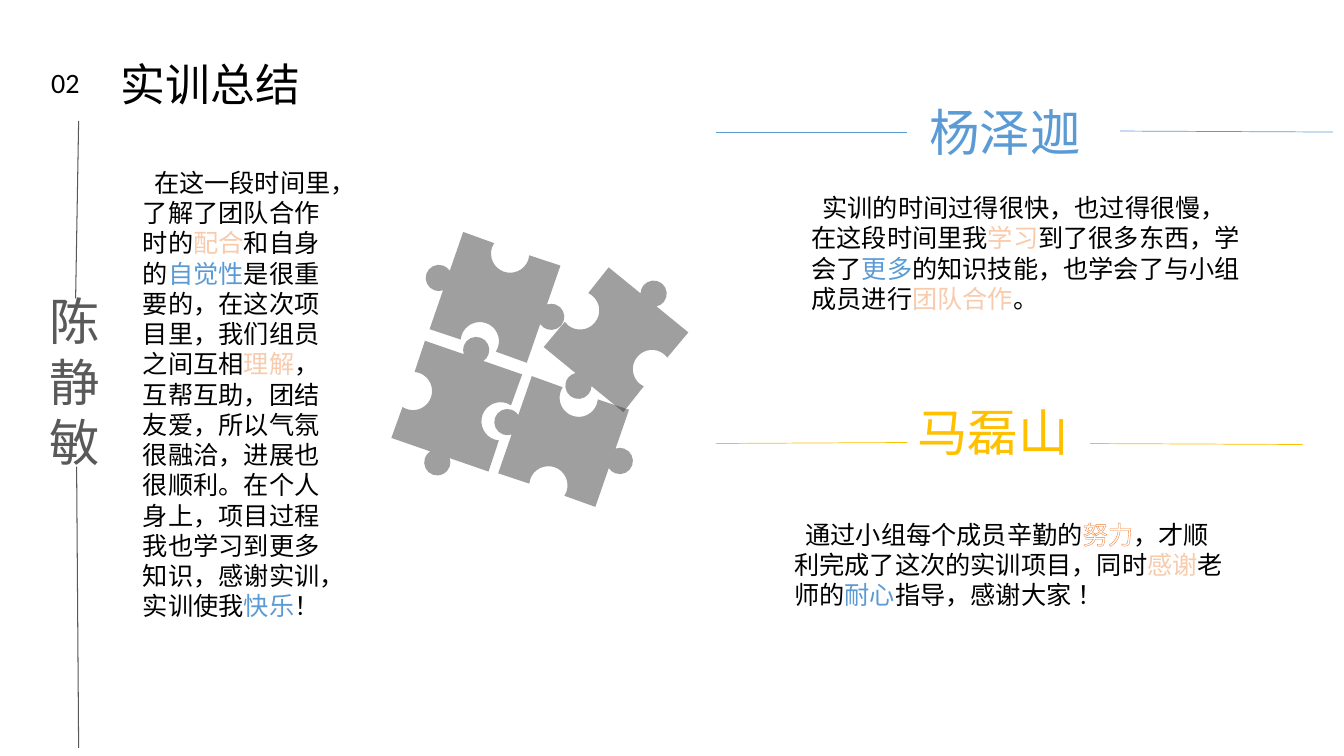
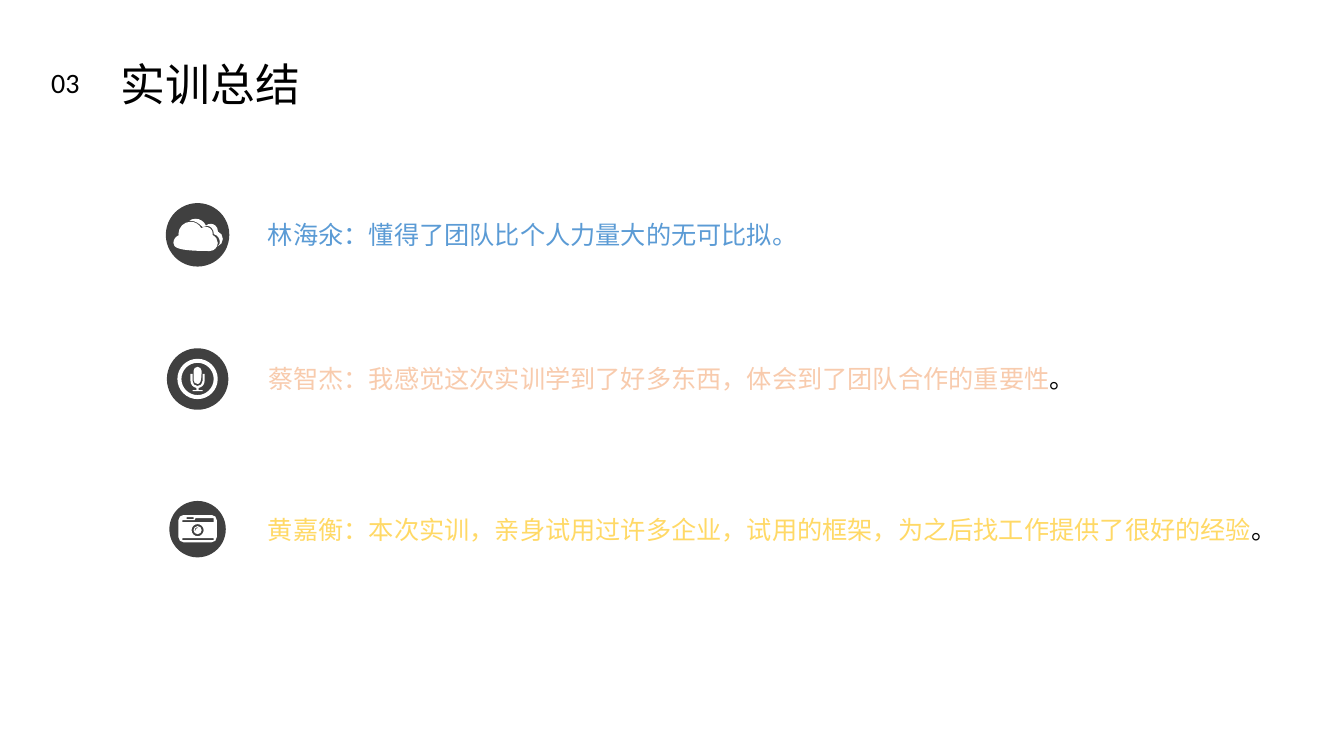
import dataclasses
import itertools
import math

import lxml.etree
import pptx
import pptx.dml.color
import pptx.enum.shapes
import pptx.enum.text
import pptx.oxml.ns
import pptx.util

# The grid has one-inch cells; all lengths are columns and rows of it.
COLUMNS, ROWS = 13.33, 7.5


@dataclasses.dataclass(frozen=True)
class Ink:
    """Fill and optional outline of a stretch of text."""
    color: str
    outline: str = ""
    outline_width: float = 0
    gradient: tuple = ()


@dataclasses.dataclass(frozen=True)
class Theme:
    """Colours, fonts and type sizes shared by the slides."""
    black: Ink = Ink("000000")
    gray: Ink = Ink("595959")
    blue: Ink = Ink("5B9BD5")
    gold: Ink = Ink("FFC000")
    peach: Ink = Ink("F8CBAD", "ED7D31", 1.75)
    hollow: Ink = Ink("FFFFFF", "ED7D31", 0.52)
    golden: Ink = Ink("FFD966", "FFC000", 1,
                      ((0, "FFC000"), (4, "FFD966"), (87, "FFF2CC")))
    dark: str = "404040"
    white: str = "FFFFFF"
    latin: str = "Calibri"
    chinese: str = "Noto Sans CJK SC"
    number: int = 20
    title: int = 32
    name: int = 36
    body: int = 18


THEME = Theme()


def inches(value):
    """Turn grid cells into a length."""
    return pptx.util.Inches(value)


def rgb(color):
    """Turn a hexadecimal string into a colour."""
    return pptx.dml.color.RGBColor.from_string(color)


def xml_child(parent, tag, position=None, **attributes):
    """Add a drawing element to parent, at the end or at a position."""
    child = lxml.etree.Element(pptx.oxml.ns.qn(tag), attributes)
    parent.insert(len(parent) if position is None else position, child)
    return child


def style_run(run, ink, size, font):
    """Give a run its size, fonts, fill and outline."""
    run.font.size = pptx.util.Pt(size)
    run.font.name = font
    properties = run._r.get_or_add_rPr()
    xml_child(properties, "a:ea", typeface=THEME.chinese)
    if ink.gradient:
        gradient = xml_child(properties, "a:gradFill", 0)
        stops = xml_child(gradient, "a:gsLst")
        for share, color in ink.gradient:
            stop = xml_child(stops, "a:gs", pos=str(share * 1000))
            xml_child(stop, "a:srgbClr", val=color)
        xml_child(gradient, "a:lin", ang=str(90 * 60000))
    else:
        run.font.color.rgb = rgb(ink.color)
    if ink.outline:
        width = str(int(pptx.util.Pt(ink.outline_width)))
        outline = xml_child(properties, "a:ln", 0, w=width)
        xml_child(xml_child(outline, "a:solidFill"), "a:srgbClr", val=ink.outline)


def add_text(shapes, box, pieces, size, font=THEME.chinese, wrap=True, indent=0):
    """Add a text box whose one paragraph holds (text, ink) pieces."""
    shape = shapes.add_textbox(*map(inches, box))
    frame = shape.text_frame
    frame.word_wrap = wrap
    frame.auto_size = pptx.enum.text.MSO_AUTO_SIZE.SHAPE_TO_FIT_TEXT
    paragraph = frame.paragraphs[0]
    if indent:
        paragraph._p.get_or_add_pPr().set("indent", str(int(inches(indent))))
    for text, ink in pieces:
        run = paragraph.add_run()
        run.text = text
        style_run(run, ink, size, font)


def add_line(shapes, start, end, ink, width):
    """Add a thin straight line."""
    line = shapes.add_connector(pptx.enum.shapes.MSO_CONNECTOR.STRAIGHT,
                                *map(inches, (*start, *end)))
    line.line.color.rgb = rgb(ink.color)
    line.line.width = pptx.util.Pt(width)
    xml_child(line._element.spPr, "a:effectLst")


def paint(shape, color):
    """Give a shape a plain fill without line or shadow."""
    shape.shadow.inherit = False
    shape.fill.solid()
    shape.fill.fore_color.rgb = rgb(color)
    shape.line.fill.background()


def arc(x, y, radius, start, end):
    """Return a start point and one curve per quadrant; degrees run clockwise."""
    low, high = sorted((start, end))
    cuts = [cut for cut in range(-360, 540, 90) if low < cut < high]
    stops = [start, *(cuts if start < end else reversed(cuts)), end]

    def place(angle, reach=0.0):
        """Return a point on the circle, moved along its tangent."""
        cosine, sine = math.cos(math.radians(angle)), math.sin(math.radians(angle))
        return (x + radius * (cosine - reach * sine), y + radius * (sine + reach * cosine))

    steps = [place(start)]
    for first, last in itertools.pairwise(stops):
        reach = 4 / 3 * math.tan(math.radians(last - first) / 4)
        steps.append((*place(first, reach), *place(last, -reach), *place(last)))
    return steps


def arcs(*parts):
    """Join arcs that meet into one contour."""
    return arc(*parts[0]) + [step for part in parts[1:] for step in arc(*part)[1:]]


def rectangle(left, top, right, bottom):
    """Return the contour of a rectangle."""
    return [(left, top), (right, top), (right, bottom), (left, bottom)]


def add_outline(shapes, center, contours, color):
    """Add a filled freeform whose contours mix points and curves."""
    def absolute(step):
        """Place the coordinates of a step on the slide."""
        return [int(inches(center[place % 2] + value))
                for place, value in enumerate(step)]

    placed = [[absolute(step) for step in contour] for contour in contours]
    builder = shapes.build_freeform(*placed[0][0])
    for number, contour in enumerate(placed):
        if number:
            builder.move_to(*contour[0])
        builder.add_line_segments([step[-2:] for step in contour[1:]], close=True)
    shape = builder.convert_to_shape()
    lines = list(shape._element.spPr.iter(pptx.oxml.ns.qn("a:lnTo")))
    steps = [step for contour in placed for step in contour[1:]]
    for line, step in zip(lines, steps):
        if len(step) == 6:
            curve = lxml.etree.Element(pptx.oxml.ns.qn("a:cubicBezTo"))
            for x, y in zip(step[::2], step[1::2]):
                xml_child(curve, "a:pt", x=str(x - shape.left), y=str(y - shape.top))
            line.getparent().replace(line, curve)
    paint(shape, color)
    return shape


def puzzle_contour():
    """Return a square piece with two tabs and two notches."""
    half, tab, notch = 0.51, 0.13, 0.19
    side = [(-half, -half), *arc(0, -0.59, tab, 142, 398), (half, -half),
            *arc(0.46, 0, notch, -76, -284)]
    return side + [tuple(-value for value in step) for step in side]


def add_puzzle_piece(shapes, center, rotation):
    """Add a half transparent puzzle piece."""
    piece = add_outline(shapes, center, [puzzle_contour()], THEME.dark)
    piece.rotation = rotation
    color = next(piece._element.spPr.iter(pptx.oxml.ns.qn("a:srgbClr")))
    xml_child(color, "a:alpha", val="50000")


def cloud():
    """Return the contours of a cloud before a second cloud."""
    front = arcs((-0.07, -0.01, 0.12, 180, 333), (0.08, -0.01, 0.07, 235, 370),
                 (0.12, 0.08, 0.08, 293, 450), (-0.16, 0.08, 0.08, 90, 250))
    back = arcs((-0.02, -0.05, 0.11, 236, 338), (0.13, -0.04, 0.07, 225, 365),
                (0.17, 0.04, 0.08, 293, 428), (0.14, 0.07, 0.08, 30, -75),
                (0.09, -0.02, 0.07, 0, -125), (-0.07, -0.02, 0.12, -30, -90))
    return [front, back]


def microphone():
    """Return the contours of a microphone in a ring."""
    capsule = arcs((0, -0.08, 0.04, 180, 360), (0, 0.01, 0.04, 0, 180))
    stand = [(-0.07, -0.05), (-0.05, -0.05), *arc(0, 0.02, 0.05, 180, 0),
             (0.05, -0.05), (0.07, -0.05), *arc(0, 0.02, 0.07, 0, 80),
             (0.01, 0.11), (0.05, 0.11), (0.05, 0.12), (-0.05, 0.12),
             (-0.05, 0.11), (-0.01, 0.11), *arc(0, 0.02, 0.07, 100, 180)]
    return [arc(0, 0, 0.2, 0, 360), arc(0, 0, 0.16, 0, 360), capsule, stand]


def camera():
    """Return the contours of a camera."""
    body = [*arc(-0.14, -0.09, 0.05, 180, 270), *arc(0.14, -0.09, 0.05, 270, 360),
            *arc(0.14, 0.08, 0.05, 0, 90), *arc(-0.14, 0.08, 0.05, 90, 180)]
    strip = [(0.16, -0.11), (-0.02, -0.11), (-0.03, -0.09), (-0.15, -0.09),
             (-0.15, -0.07), (0.16, -0.07)]
    glint = arc(0, 0.01, 0.03, 270, 170) + arc(0, 0.01, 0.02, 170, 270)
    return [body, strip, rectangle(-0.11, -0.12, -0.04, -0.1),
            rectangle(-0.15, 0.09, 0.16, 0.11),
            arc(0, 0.01, 0.06, 0, 360), arc(0, 0.01, 0.04, 0, 360), glint]


def add_badge(slide, center, size, icon):
    """Add a dark round badge with a white icon."""
    shapes = slide.shapes.add_group_shape().shapes
    x, y = center
    disc = shapes.add_shape(pptx.enum.shapes.MSO_SHAPE.ROUNDED_RECTANGLE,
                            *map(inches, (x - size / 2, y - size / 2, size, size)))
    disc.adjustments[0] = 0.5
    paint(disc, THEME.dark)
    add_outline(shapes, center, icon, THEME.white)


def add_slide(presentation, number):
    """Add a blank slide with its number and the shared title."""
    slide = presentation.slides.add_slide(presentation.slide_layouts[6])
    shapes = slide.shapes.add_group_shape().shapes
    for box, text, size in (((0.41, 0.6, 0.48, 0.44), number, THEME.number),
                            ((1.1, 0.51, 1.98, 0.64), "实训总结", THEME.title)):
        add_text(shapes, box, [(text, THEME.black)], size, THEME.latin, wrap=False)
    return slide


def add_person(slide, name, ink, corner, *rules):
    """Add a name between two thin lines."""
    add_text(slide.shapes, (*corner, 1.81, 0.71), [(name, ink)], THEME.name)
    for start, end in rules:
        add_line(slide.shapes, start, end, ink, 0.5)


def build_team_slide(presentation):
    """Build the slide with three long statements and the puzzle."""
    slide = add_slide(presentation, "02")
    shapes = slide.shapes
    black, blue, peach = THEME.black, THEME.blue, THEME.peach
    for center, rotation in (((4.91, 2.95), 289.1), ((6.11, 3.37), 219.2),
                             ((4.53, 4.03), 19.1), ((5.59, 4.38), 289.1)):
        add_puzzle_piece(shapes, center, rotation)
    add_line(shapes, (0.78, 1.2), (0.75, 2.96), THEME.gray, 0.75)
    add_line(shapes, (0.76, 4.63), (0.78, 7.42), THEME.gray, 0.75)
    add_text(shapes, (0.39, 2.83, 0.57, 1.92), [("陈静敏", THEME.gray)], THEME.name)
    add_person(slide, "杨泽迦", blue, (9.12, 0.95),
               ((7.1, 1.31), (9, 1.31)), ((11.11, 1.3), (13.22, 1.31)))
    add_person(slide, "马磊山", THEME.gold, (9, 3.93),
               ((7.1, 4.4), (9, 4.39)), ((10.81, 4.4), (12.92, 4.41)))
    statements = (
        ((1.32, 1.61, 2.07, 4.95), [
            ("在这一段时间里，了解了团队合作时的", black), ("配合", peach),
            ("和自身的", black), ("自觉性", blue),
            ("是很重要的，在这次项目里，我们组员之间互相", black), ("理解", peach),
            ("，互帮互助，团结友爱，所以气氛很融洽，进展也很顺利。在个人身上，"
             "项目过程我也学习到更多知识，感谢实训，实训使我", black),
            ("快乐", blue), ("！", black)]),
        ((7.95, 1.86, 4.49, 1.31), [
            ("实训的时间过得很快，也过得很慢，在这段时间里我", black), ("学习", peach),
            ("到了很多东西，学会了", black), ("更多", blue),
            ("的知识技能，也学会了与小组成员进行", black), ("团队合作", peach),
            ("。", black)]),
        ((7.78, 5.1, 4.49, 1.01), [
            ("通过小组每个成员辛勤的", black), ("努力", THEME.hollow),
            ("，才顺利完成了这次的实训项目，同时", black), ("感谢", peach),
            ("老师的", black), ("耐心", blue), ("指导，感谢大家 ！", black)]),
    )
    for box, pieces in statements:
        add_text(shapes, box, pieces, THEME.body, indent=0.11)


def build_voices_slide(presentation):
    """Build the slide with three one-line statements."""
    slide = add_slide(presentation, "03")
    stop = ("。", THEME.black)
    voices = (
        (2.33, 0.63, cloud(), 7.77,
         [("林海氽：懂得了团队比个人力量大的无可比拟。", THEME.blue)]),
        (3.76, 0.61, microphone(), 8.01,
         [("蔡智杰：我感觉这次实训学到了好多东西，体会到了团队合作的重要性",
           THEME.peach), stop]),
        (5.25, 0.56, camera(), 10.07,
         [("黄嘉衡：本次实训，亲身试用过许多企业，试用的框架，"
           "为之后找工作提供了很好的经验", THEME.golden), stop]),
    )
    for row, size, icon, width, pieces in voices:
        add_badge(slide, (1.96, row), size, icon)
        add_text(slide.shapes, (2.56, row - 0.2, width, 0.4), pieces,
                 THEME.body, THEME.latin)


def main():
    """Build and save the presentation."""
    presentation = pptx.Presentation()
    presentation.slide_width = inches(COLUMNS)
    presentation.slide_height = inches(ROWS)
    build_team_slide(presentation)
    build_voices_slide(presentation)
    presentation.save("out.pptx")


main()
